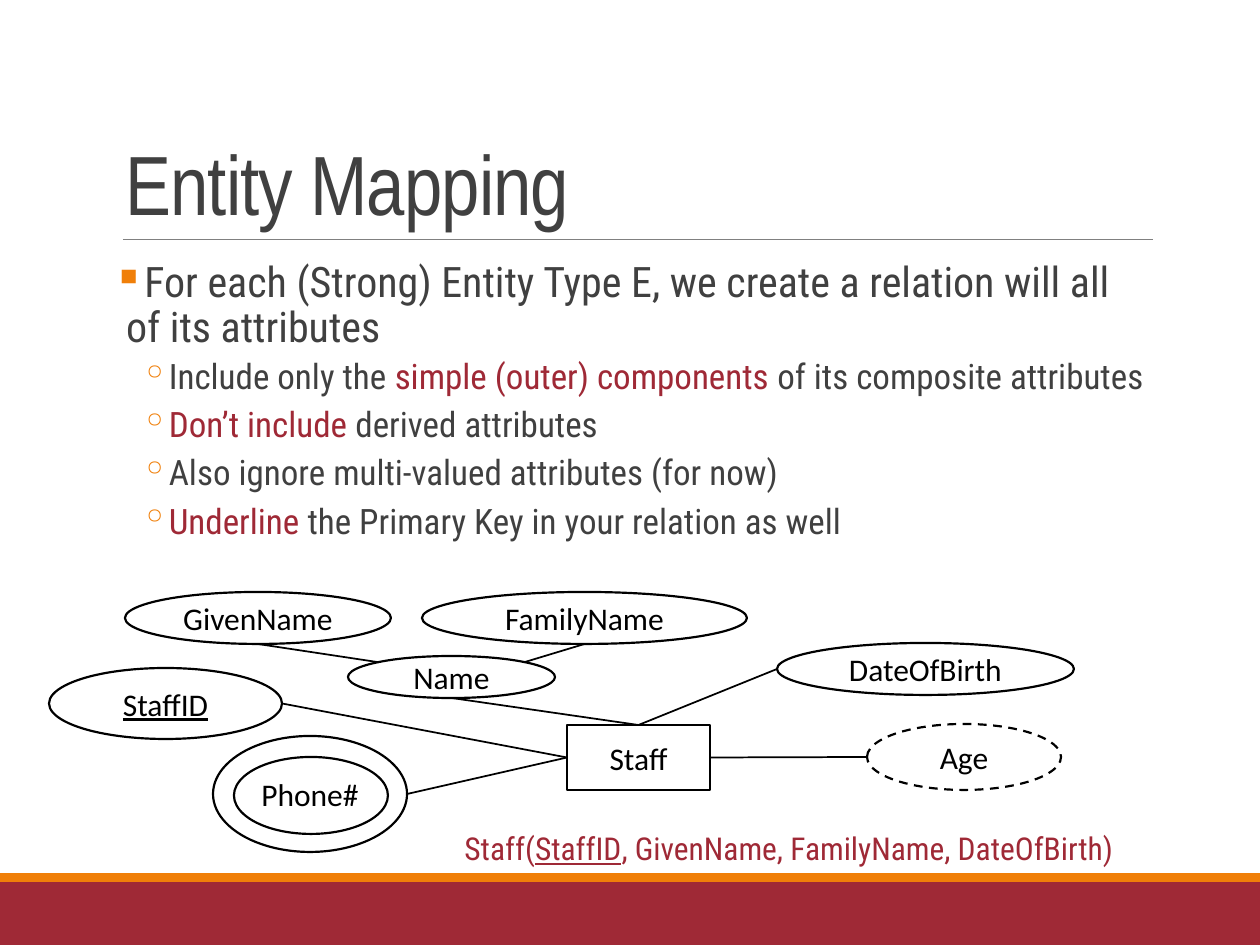
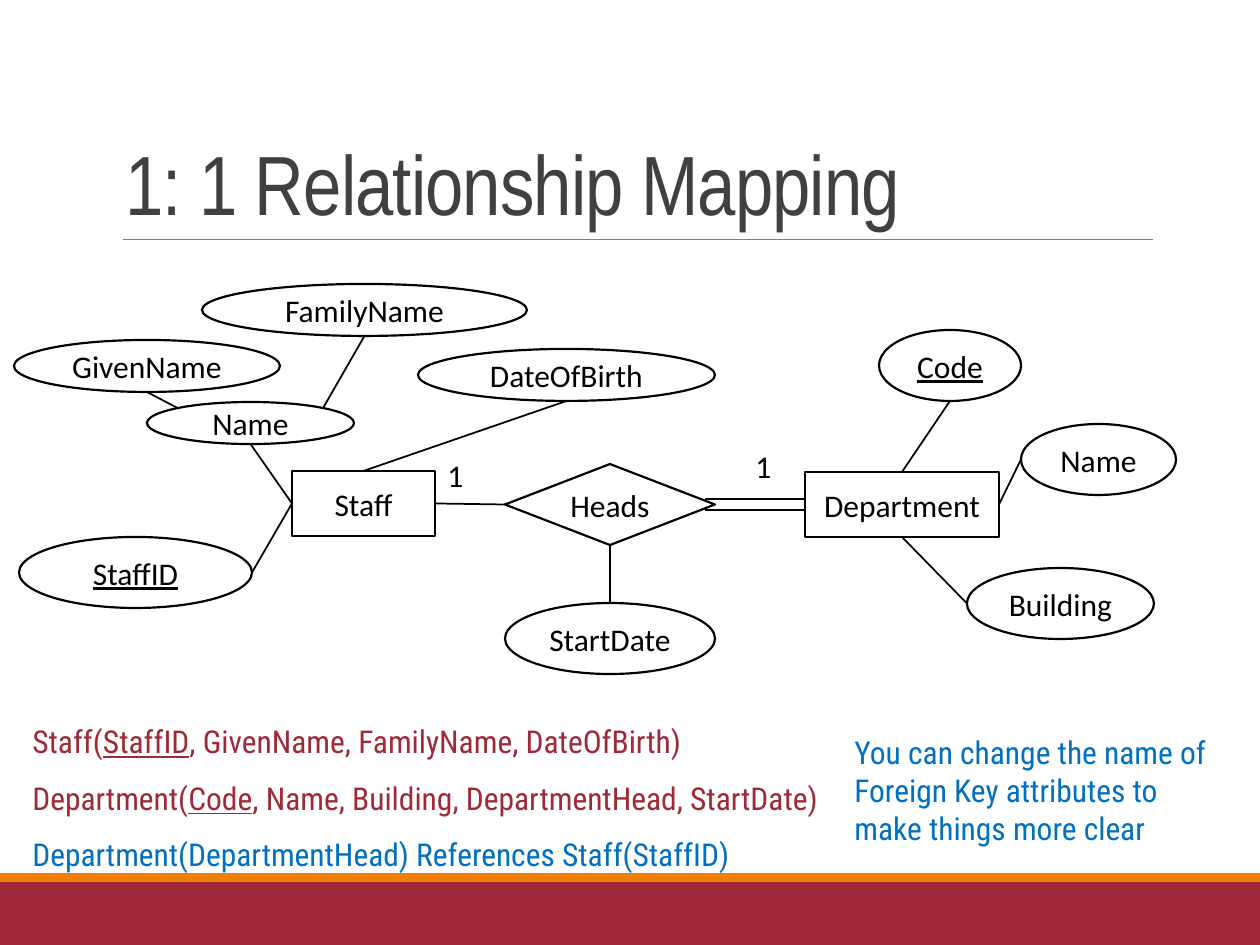
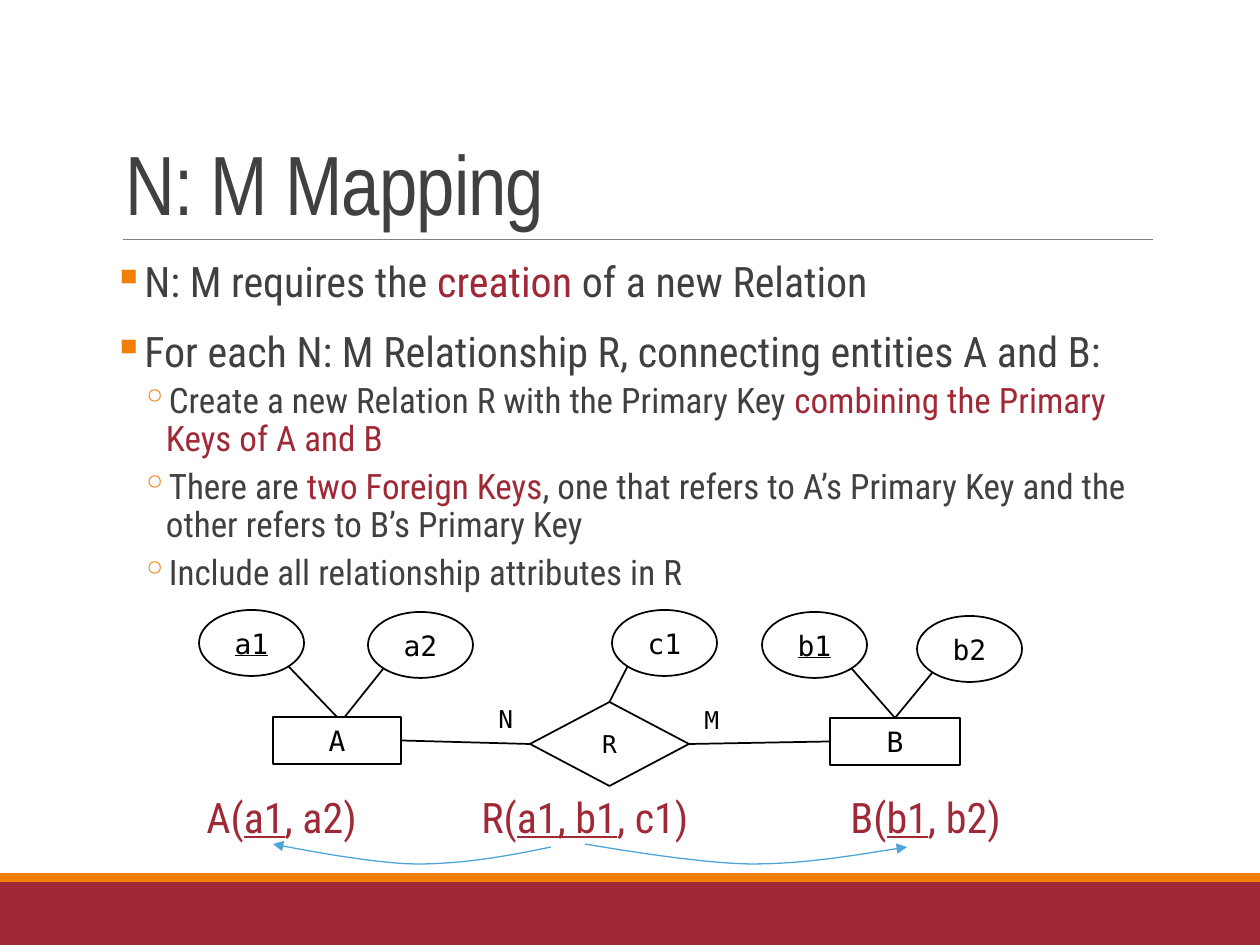
from dataclasses import dataclass

from lxml.etree import SubElement
from pptx import Presentation
from pptx.dml.color import RGBColor
from pptx.enum.dml import MSO_LINE
from pptx.enum.shapes import MSO_CONNECTOR, MSO_SHAPE as SHAPE
from pptx.enum.text import MSO_ANCHOR, PP_ALIGN
from pptx.oxml.ns import qn
from pptx.util import Emu, Pt


@dataclass(frozen=True)
class Theme:
    """Colours, fonts and type sizes of the deck."""
    red: str = "9F2936"
    orange: str = "F07F09"
    grey: str = "404040"
    rule: str = "808080"
    blue: str = "0070C0"
    arrow: str = "4EA5D8"
    black: str = "000000"
    white: str = "FFFFFF"
    title_font: str = "Arial Narrow"
    body_font: str = "Roboto Condensed"
    node_font: str = "Calibri"
    code_font: str = "DejaVu Sans Mono"
    title_size: int = 48
    level_sizes: tuple = (24, 20)
    note_size: int = 18
    code_size: int = 16
    small_size: int = 14


@dataclass(frozen=True)
class Box:
    """A region of the slide in px."""
    left: int
    top: int
    width: int
    height: int

    def within(self, x, y, width, height):
        """Return a box placed relative to this one."""
        return Box(self.left + x, self.top + y, width, height)

    def emu(self):
        """Return left, top, width and height in EMU."""
        return [px(n) for n in (self.left, self.top, self.width, self.height)]


@dataclass(frozen=True)
class NodeStyle:
    """Type and outline of the diagram nodes."""
    font: str
    size: int
    outline: float


THEME = Theme()
STAFF_STYLE = NodeStyle(THEME.node_font, THEME.note_size, 1.25)
CODE_STYLE = NodeStyle(THEME.code_font, THEME.code_size, 1)
SMALL_STYLE = NodeStyle(THEME.code_font, THEME.small_size, 1)
PAGE = Box(0, 0, 1260, 945)
TITLE = Box(113, 39, 1040, 200)
BODY = Box(113, 255, 1040, 554)
SITES = ("top", "left", "bottom", "right")
SIDES = {
    "top": (0.5, 0), "left": (0, 0.5), "bottom": (0.5, 1), "right": (1, 0.5),
    "top left": (0.15, 0.15), "top right": (0.85, 0.15),
    "bottom left": (0.15, 0.85), "bottom right": (0.85, 0.85),
    "top off centre": (0.56, 0),
}
BULLETS = (("▪", 13, -13, 12, 2), ("◦", 53, -25, 2, 4))
STAFF_NODES = {
    "Staff": (SHAPE.RECTANGLE, 143, 65),
    "Name": (SHAPE.OVAL, 207, 42),
    "StaffID": (SHAPE.OVAL, 233, 71),
    "DateOfBirth": (SHAPE.OVAL, 297, 52),
    "GivenName": (SHAPE.OVAL, 266, 52),
    "FamilyName": (SHAPE.OVAL, 325, 52),
}


def px(length):
    """Turn px into EMU."""
    return Emu(round(length * 914400 / 126))


def rgb(colour):
    """Return the colour object of a hex value."""
    return RGBColor.from_string(colour)


def format_span(span, font, size, colour, underline=False):
    """Set the type of one run."""
    span.font.name, span.font.size = font, Pt(size)
    span.font.color.rgb = rgb(colour)
    if underline:
        span.font.underline = True


def fill_para(para, text, font, size, colour, accent=None):
    """Write text whose parts between bars are accented, or else underlined."""
    for index, part in enumerate(text.split("|")):
        if part:
            marked = index % 2 == 1
            span = para.add_run()
            span.text = part
            format_span(span, font, size, accent if marked and accent else colour,
                        marked and not accent)


def add_text(page, box, lines, font, size, colour, wrap=True, spacing=None):
    """Add a text box with one paragraph for each line."""
    frame = page.shapes.add_textbox(*box.emu()).text_frame
    frame.word_wrap = wrap
    for index, line in enumerate(lines):
        para = frame.add_paragraph() if index else frame.paragraphs[0]
        fill_para(para, line, font, size, colour)
        if spacing:
            para.line_spacing = spacing
    return frame


def add_band(page, box, colour):
    """Add a plain filled strip."""
    band = page.shapes.add_shape(SHAPE.RECTANGLE, *box.emu())
    band.shadow.inherit = False
    band.fill.solid()
    band.fill.fore_color.rgb = rgb(colour)
    band.line.fill.background()


def draw_line(page, start, end, colour=THEME.black, width=1.0):
    """Draw a straight line between two points in EMU."""
    line = page.shapes.add_connector(MSO_CONNECTOR.STRAIGHT, *start, *end)
    line.line.color.rgb = rgb(colour)
    line.line.width = Pt(width)
    SubElement(line._element.spPr, qn("a:effectLst"))
    return line


def anchor(node, side):
    """Return the point of a node's outline on the named side."""
    across, down = SIDES[side]
    return (Emu(round(node.left + node.width * across)),
            Emu(round(node.top + node.height * down)))


def link(page, start, start_side, end, end_side):
    """Join two nodes, gluing the line to rectangles and diamonds."""
    line = draw_line(page, anchor(start, start_side), anchor(end, end_side))
    for node, side, connect in ((start, start_side, line.begin_connect),
                                (end, end_side, line.end_connect)):
        if node.auto_shape_type != SHAPE.OVAL and side in SITES:
            connect(node, SITES.index(side))


def add_node(page, kind, box, label="", style=STAFF_STYLE, key=False, filled=True):
    """Add an entity, attribute or relationship with its label."""
    node = page.shapes.add_shape(kind, *box.emu())
    node.shadow.inherit = False
    if filled:
        node.fill.solid()
        node.fill.fore_color.rgb = rgb(THEME.white)
    else:
        node.fill.background()
    node.line.color.rgb = rgb(THEME.black)
    node.line.width = Pt(style.outline)
    if label:
        frame = node.text_frame
        frame.word_wrap = False
        frame.vertical_anchor = MSO_ANCHOR.MIDDLE
        para = frame.paragraphs[0]
        para.text = label
        para.alignment = PP_ALIGN.CENTER
        format_span(para.runs[0], style.font, style.size, THEME.black, key)
    return node


def add_page(deck, title):
    """Add a slide with its bands, rule and title."""
    page = deck.slides.add_slide(deck.slide_layouts[6])
    add_band(page, PAGE.within(0, 882, 1260, 63), THEME.red)
    add_band(page, PAGE.within(0, 873, 1260, 9), THEME.orange)
    draw_line(page, (px(123), px(239)), (px(1153), px(239)), THEME.rule, 0.5)
    frame = add_text(page, TITLE, [title], THEME.title_font, THEME.title_size,
                     THEME.grey, spacing=0.85)
    frame.vertical_anchor = MSO_ANCHOR.BOTTOM
    frame.paragraphs[0].runs[0].font._element.set("spc", "-50")
    return page


def add_bullets(page, box, items):
    """Add the body list from pairs of level and text."""
    frame = page.shapes.add_textbox(*box.emu()).text_frame
    frame.word_wrap = True
    frame.margin_left = frame.margin_right = 0
    for index, (level, text) in enumerate(items):
        para = frame.add_paragraph() if index else frame.paragraphs[0]
        mark, margin, indent, before, after = BULLETS[level]
        para.level = level
        para.line_spacing = 0.9
        if index:
            para.space_before = Pt(before)
        para.space_after = Pt(after)
        props = para._element.get_or_add_pPr()
        props.set("marL", str(px(margin)))
        props.set("indent", str(px(indent)))
        tint = SubElement(props, qn("a:buClr"))
        SubElement(tint, qn("a:srgbClr")).set("val", THEME.orange)
        SubElement(props, qn("a:buChar")).set("char", mark)
        fill_para(para, text, THEME.body_font, THEME.level_sizes[level],
                  THEME.grey, THEME.red)


def add_staff(page, box, spots, name_side, birth_side):
    """Add the Staff entity with its attributes and return the entity."""
    nodes = {}
    for label, (x, y) in spots.items():
        kind, width, height = STAFF_NODES[label]
        nodes[label] = add_node(page, kind, box.within(x, y, width, height), label,
                                key=label == "StaffID")
    staff, name = nodes["Staff"], nodes["Name"]
    link(page, name, "bottom", staff, name_side)
    link(page, nodes["StaffID"], "right", staff, "left")
    link(page, nodes["DateOfBirth"], birth_side, staff, "top")
    link(page, nodes["GivenName"], "bottom", name, "top left")
    link(page, nodes["FamilyName"], "bottom", name, "top right")
    return staff


def add_entity_diagram(page, box):
    """Draw Staff with derived and multi-valued attributes."""
    spots = {"Staff": (518, 133), "Name": (299, 64), "StaffID": (0, 76),
             "DateOfBirth": (728, 51), "GivenName": (76, 0), "FamilyName": (373, 0)}
    staff = add_staff(page, box, spots, "top", "left")
    age = add_node(page, SHAPE.OVAL, box.within(818, 132, 194, 66), "Age")
    age.line.dash_style = MSO_LINE.DASH
    link(page, age, "left", staff, "right")
    add_node(page, SHAPE.OVAL, box.within(185, 165, 154, 77))
    phone = add_node(page, SHAPE.OVAL, box.within(164, 144, 194, 116), "Phone#",
                     filled=False)
    link(page, phone, "right", staff, "left")


def add_heads_diagram(page, box):
    """Draw Staff heading a Department."""
    spots = {"Staff": (278, 187), "Name": (133, 118), "StaffID": (5, 253),
             "DateOfBirth": (404, 65), "GivenName": (0, 56), "FamilyName": (188, 0)}
    staff = add_staff(page, box, spots, "left", "bottom")
    department = add_node(page, SHAPE.RECTANGLE, box.within(791, 188, 194, 65),
                          "Department")
    heads = add_node(page, SHAPE.DIAMOND, box.within(491, 180, 210, 81), "Heads")
    link(page, staff, "right", heads, "left")
    for y in (215, 226):
        draw_line(page, (px(box.left + 691), px(box.top + y)),
                  (px(box.left + 791), px(box.top + y)))
    for x, y in ((421, 166), (729, 157)):
        add_text(page, box.within(x, y, 62, 50), ["1"], THEME.node_font,
                 THEME.note_size, THEME.black)
    for label, x, y, width, side, owner, owner_side in (
            ("Code", 865, 46, 142, "bottom", department, "top"),
            ("Name", 1007, 140, 155, "left", department, "right"),
            ("Building", 953, 284, 187, "left", department, "bottom"),
            ("StartDate", 491, 319, 210, "top", heads, "bottom")):
        node = add_node(page, SHAPE.OVAL, box.within(x, y, width, 71), label,
                        key=label == "Code")
        link(page, node, side, owner, owner_side)


def add_many_diagram(page, box):
    """Draw entities A and B joined by the relationship R."""
    first = add_node(page, SHAPE.RECTANGLE, box.within(74, 107, 128, 47), "A", CODE_STYLE)
    bond = add_node(page, SHAPE.DIAMOND, box.within(331, 92, 159, 84), "R", SMALL_STYLE)
    second = add_node(page, SHAPE.RECTANGLE, box.within(631, 108, 130, 47), "B", CODE_STYLE)
    link(page, first, "right", bond, "left")
    link(page, bond, "right", second, "left")
    for label, x, y, side, owner, owner_side in (
            ("a1", 0, 0, "bottom right", first, "top"),
            ("a2", 169, 2, "bottom left", first, "top off centre"),
            ("c1", 413, 0, "bottom left", bond, "top"),
            ("b1", 563, 2, "bottom right", second, "top"),
            ("b2", 718, 6, "bottom left", second, "top")):
        node = add_node(page, SHAPE.OVAL, box.within(x, y, 105, 66), label, CODE_STYLE,
                        key=label in ("a1", "b1"))
        link(page, node, side, owner, owner_side)
    for label, x, y in (("N", 287, 88), ("M", 493, 89)):
        add_text(page, box.within(x, y, 40, 43), [label], THEME.code_font,
                 THEME.small_size, THEME.black, wrap=False)


def curve_points(knots, steps=16):
    """Sample a chain of cubic curves."""
    points = [knots[0]]
    for first in range(0, len(knots) - 1, 3):
        for step in range(1, steps + 1):
            t = step / steps
            weights = ((1 - t) ** 3, 3 * t * (1 - t) ** 2, 3 * t * t * (1 - t), t ** 3)
            points.append(tuple(
                sum(weight * knot[axis]
                    for weight, knot in zip(weights, knots[first:first + 4]))
                for axis in (0, 1)))
    return points


def add_curved_arrow(page, box, knots):
    """Draw a curved arrow that points at its last knot."""
    points = [(px(box.left + x), px(box.top + y)) for x, y in curve_points(knots)]
    builder = page.shapes.build_freeform(*points[0])
    builder.add_line_segments(points[1:], close=False)
    arrow = builder.convert_to_shape()
    arrow.shadow.inherit = False
    arrow.fill.background()
    arrow.line.color.rgb = rgb(THEME.arrow)
    arrow.line.width = Pt(0.75)
    SubElement(arrow.line._get_or_add_ln(), qn("a:tailEnd")).set("type", "triangle")


def add_relations(page, box):
    """Write the three relations and their reference arrows."""
    for x, width, text in ((0, 252, "A(|a1|, a2)"), (275, 389, "R(|a1, b1|, c1)"),
                           (644, 285, "B(|b1|, b2)")):
        add_text(page, box.within(x, 0, width, 62), [text], THEME.body_font,
                 THEME.level_sizes[0], THEME.red)
    add_curved_arrow(page, box, [(357, 62), (314, 71), (270, 79), (223, 79),
                                 (176, 79), (79, 59), (79, 59)])
    add_curved_arrow(page, box, [(391, 59), (391, 59), (504, 79), (558, 79),
                                 (611, 79), (663, 70), (713, 62)])


def build_entity_page(deck):
    """Build the slide on entity mapping."""
    page = add_page(deck, "Entity Mapping")
    add_bullets(page, BODY, [
        (0, "For each (Strong) Entity Type E, we create a relation will all of its attributes"),
        (1, "Include only the |simple (outer) components |of its composite attributes"),
        (1, "|Don’t include| derived attributes"),
        (1, "Also ignore multi-valued attributes (for now)"),
        (1, "|Underline| the Primary Key in your relation as well"),
    ])
    add_entity_diagram(page, Box(49, 592, 1026, 261))
    add_text(page, Box(452, 823, 772, 50),
             ["Staff(|StaffID|, GivenName, FamilyName, DateOfBirth)"],
             THEME.body_font, THEME.note_size, THEME.red)


def build_one_page(deck):
    """Build the slide on one to one relationships."""
    page = add_page(deck, "1: 1 Relationship Mapping")
    add_heads_diagram(page, Box(14, 284, 1162, 390))
    frame = add_text(page, Box(20, 697, 820, 176), [
        "Staff(|StaffID|, GivenName, FamilyName, DateOfBirth)",
        "Department(|Code|, Name, Building, DepartmentHead, StartDate)",
        "Department(DepartmentHead) References Staff(StaffID)",
    ], THEME.body_font, THEME.note_size, THEME.red, spacing=1.5)
    frame.paragraphs[-1].runs[0].font.color.rgb = rgb(THEME.blue)
    add_text(page, Box(842, 727, 397, 127),
             ["You can change the name of Foreign Key attributes to make things more clear"],
             THEME.body_font, THEME.note_size, THEME.blue)


def build_many_page(deck):
    """Build the slide on many to many relationships."""
    page = add_page(deck, "N: M Mapping")
    add_bullets(page, BODY, [
        (0, "N: M requires the |creation| of a new Relation"),
        (0, "For each N: M Relationship R, connecting entities A and B:"),
        (1, "Create a new Relation R with the Primary Key |combining the Primary Keys of A and B|"),
        (1, "There are |two Foreign Keys|, one that refers to A’s Primary Key "
            "and the other refers to B’s Primary Key"),
        (1, "Include all relationship attributes in R"),
    ])
    add_many_diagram(page, Box(199, 610, 824, 176))
    add_relations(page, Box(194, 785, 929, 80))


def main():
    """Build and save the deck."""
    deck = Presentation()
    deck.slide_width, deck.slide_height = px(PAGE.width), px(PAGE.height)
    build_entity_page(deck)
    build_one_page(deck)
    build_many_page(deck)
    deck.save("out.pptx")


if __name__ == "__main__":
    main()
